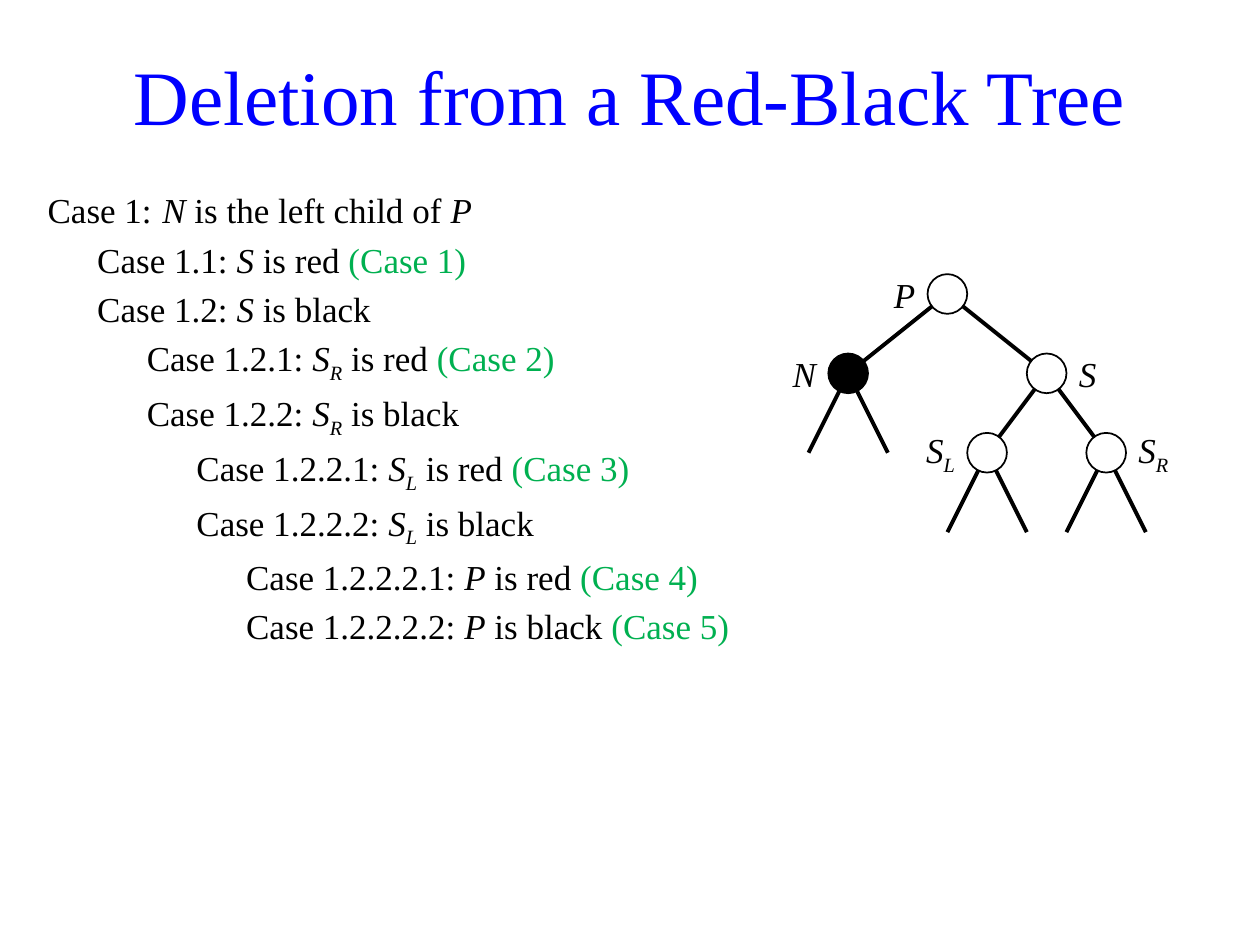
"""Build a slide on deletion cases in a red-black tree."""
from dataclasses import dataclass

from lxml import etree
from pptx import Presentation
from pptx.dml.color import RGBColor
from pptx.enum.shapes import MSO_CONNECTOR, MSO_SHAPE
from pptx.enum.text import MSO_ANCHOR, MSO_AUTO_SIZE, PP_ALIGN
from pptx.oxml.ns import qn
from pptx.util import Pt

STRAIGHT = MSO_CONNECTOR.STRAIGHT
OVAL = MSO_SHAPE.OVAL
MIDDLE = MSO_ANCHOR.MIDDLE
NO_FIT = MSO_AUTO_SIZE.NONE
LEFT, CENTER, RIGHT = PP_ALIGN.LEFT, PP_ALIGN.CENTER, PP_ALIGN.RIGHT


@dataclass(frozen=True)
class Theme:
    """Colours, type sizes and line widths."""
    font: str = "Times New Roman"
    title: RGBColor = RGBColor(0, 0, 255)
    ink: RGBColor = RGBColor(0, 0, 0)
    paper: RGBColor = RGBColor(255, 255, 255)
    outcome: RGBColor = RGBColor(0, 176, 80)
    title_size: int = 44
    text_size: int = 20
    gap_size: int = 24
    edge_width: float = 2.25
    outline_width: float = 1


THEME = Theme()
UNIT = 11.34
INDENT = 28.35
ROOT_X, ROOT_Y = 541.4, 168

CASES = [
    (0, "Case 1:", [("gap", " "), ("symbol", "N"),
                    ("plain", " is the left child of "), ("symbol", "P")]),
    (1, "Case 1.1: ", [("symbol", "S"), ("plain", " is red "), ("outcome", "(Case 1)")]),
    (1, "Case 1.2: ", [("symbol", "S"), ("plain", " is black")]),
    (2, "Case 1.2.1: ", [("symbol", "S"), ("subscript", "R"),
                         ("plain", " is red "), ("outcome", "(Case 2)")]),
    (2, "Case 1.2.2: ", [("symbol", "S"), ("subscript", "R"), ("plain", " is black")]),
    (3, "Case 1.2.2.1: ", [("symbol", "S"), ("subscript", "L"),
                           ("plain", " is red "), ("outcome", "(Case 3)")]),
    (3, "Case 1.2.2.2: ", [("symbol", "S"), ("subscript", "L"), ("plain", " is black")]),
    (4, "Case 1.2.2.2.1: ", [("symbol", "P"), ("plain", " is red "), ("outcome", "(Case 4)")]),
    (4, "Case 1.2.2.2.2: ", [("symbol", "P"), ("plain", " is black "), ("outcome", "(Case 5)")]),
]

NODES = {
    "P": (0, 0, THEME.paper, RIGHT),
    "N": (-5, 4, THEME.ink, RIGHT),
    "S": (5, 4, THEME.paper, LEFT),
    "SL": (2, 8, THEME.paper, RIGHT),
    "SR": (8, 8, THEME.paper, LEFT),
}
EDGES = [("P", "N"), ("P", "S"), ("S", "SL"), ("S", "SR")]
OPEN_NODES = ["N", "SL", "SR"]


def place(shape, left, top, width, height):
    """Move and size a shape in points."""
    shape.left, shape.top = Pt(left), Pt(top)
    shape.width, shape.height = Pt(width), Pt(height)


def style_para(para, size, color):
    """Set the font shared by all spans of a paragraph."""
    para.font.name = THEME.font
    para.font.size = Pt(size)
    para.font.color.rgb = color


def add_span(para, kind, text):
    """Add a run of one of the text kinds."""
    span = para.add_run()
    span.text = text
    if kind in ("symbol", "subscript", "gap"):
        span.font.italic = True
    if kind == "subscript":
        span.font._element.set("baseline", "-25000")
    if kind == "gap":
        span.font.size = Pt(THEME.gap_size)
    if kind == "outcome":
        span.font.color.rgb = THEME.outcome


def fill_title(page):
    """Write the slide title."""
    title = page.shapes.title
    place(title, 31, 20, 658, 68)
    frame = title.text_frame
    frame.text = "Deletion from a Red-Black Tree"
    frame.auto_size = NO_FIT
    frame.vertical_anchor = MIDDLE
    para = frame.paragraphs[0]
    para.alignment = CENTER
    style_para(para, THEME.title_size, THEME.title)


def fill_cases(page):
    """Write the indented list of cases."""
    body = page.placeholders[1]
    place(body, 20, 100, 408, 272)
    frame = body.text_frame
    frame.auto_size = NO_FIT
    for index, (depth, number, spans) in enumerate(CASES):
        para = frame.add_paragraph() if index else frame.paragraphs[0]
        para.level = depth
        properties = para._p.get_or_add_pPr()
        properties.set("marL", str(Pt(depth * INDENT)))
        properties.set("indent", "0")
        etree.SubElement(properties, qn("a:buNone"))
        style_para(para, THEME.text_size, THEME.ink)
        for kind, text in [("plain", number), *spans]:
            add_span(para, kind, text)


def node_center(name):
    """Return the centre of a node in points."""
    column, row = NODES[name][:2]
    return ROOT_X + column * UNIT, ROOT_Y + row * UNIT


def add_edge(page, start, end):
    """Draw a tree edge between two points."""
    edge = page.shapes.add_connector(STRAIGHT, *map(Pt, (*start, *end)))
    edge.line.color.rgb = THEME.ink
    edge.line.width = Pt(THEME.edge_width)
    etree.SubElement(edge._element.spPr, qn("a:effectLst"))


def add_node(page, name):
    """Draw a tree node."""
    x, y = node_center(name)
    node = page.shapes.add_shape(OVAL, *map(Pt, (x - UNIT, y - UNIT, 2 * UNIT, 2 * UNIT)))
    node.shadow.inherit = False
    node.fill.solid()
    node.fill.fore_color.rgb = NODES[name][2]
    node.line.color.rgb = THEME.ink
    node.line.width = Pt(THEME.outline_width)


def add_label(page, name):
    """Write a node's name beside it."""
    x, y = node_center(name)
    align = NODES[name][3]
    left = x - 4 * UNIT if align == RIGHT else x + UNIT
    box = page.shapes.add_textbox(*map(Pt, (left, y - 2 * UNIT, 3 * UNIT, 4 * UNIT)))
    frame = box.text_frame
    frame.word_wrap = True
    frame.vertical_anchor = MIDDLE
    para = frame.paragraphs[0]
    para.alignment = align
    style_para(para, THEME.text_size, THEME.ink)
    add_span(para, "symbol", name[0])
    if name[1:]:
        add_span(para, "subscript", name[1:])


def draw_tree(page):
    """Draw edges first, then nodes and labels over them."""
    for parent, child in EDGES:
        add_edge(page, node_center(parent), node_center(child))
    for name in OPEN_NODES:
        x, y = node_center(name)
        for side in (-2, 2):
            add_edge(page, (x, y), (x + side * UNIT, y + 4 * UNIT))
    for name in NODES:
        add_node(page, name)
        add_label(page, name)


def main():
    """Build and save the deck."""
    deck = Presentation()
    deck.slide_width, deck.slide_height = Pt(720), Pt(540)
    page = deck.slides.add_slide(deck.slide_layouts[1])
    fill_title(page)
    fill_cases(page)
    draw_tree(page)
    deck.save("out.pptx")


main()
